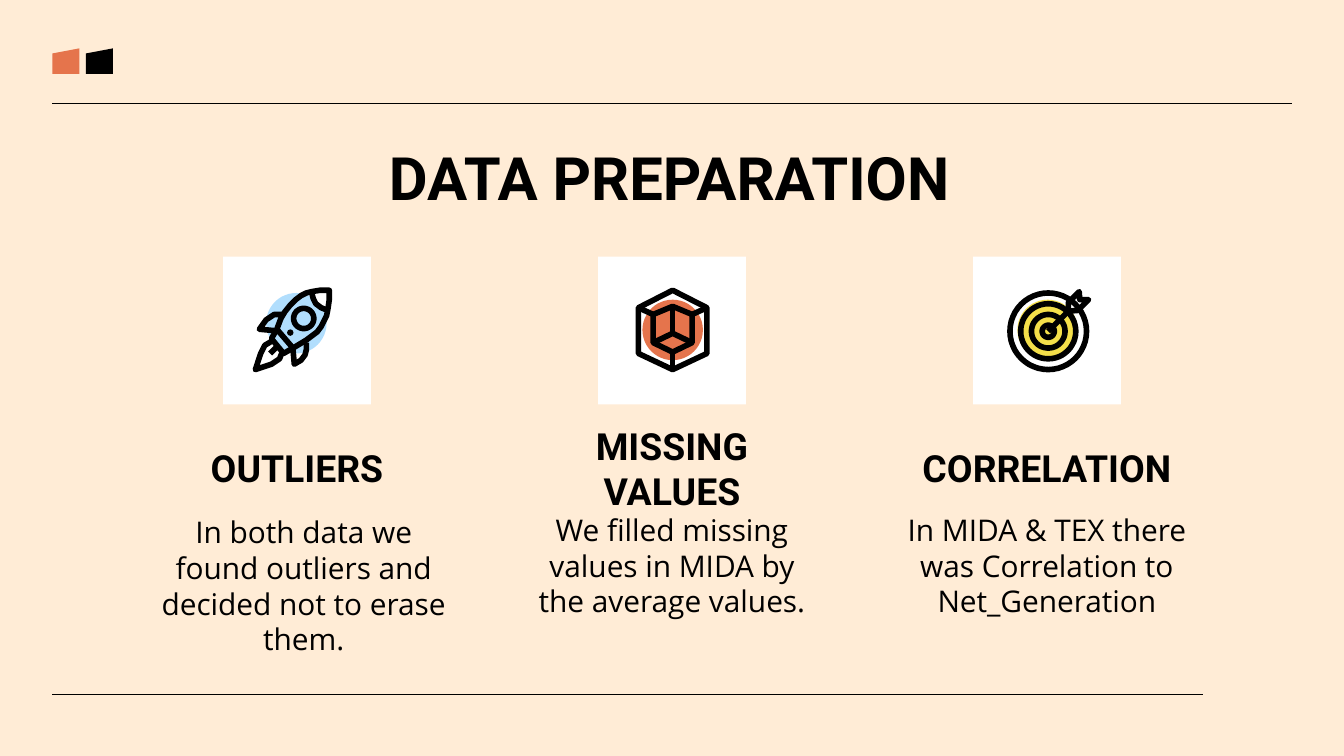
from math import cos, sin, tau
from typing import NamedTuple

from lxml.etree import SubElement
from pptx import Presentation
from pptx.dml.color import RGBColor
from pptx.enum.shapes import MSO_CONNECTOR, MSO_SHAPE
from pptx.enum.text import MSO_ANCHOR, PP_ALIGN
from pptx.oxml.ns import qn
from pptx.util import Inches, Pt

BLACK, WHITE, CREAM = "000000", "FFFFFF", "FFECD6"
ORANGE, BLUE, YELLOW = "E5744C", "B1DEFD", "F4DF4A"
MARGIN = 0.39
FIRST_CARD, COLUMN_PITCH = 1.66, 2.79
CARD_TOP, CARD_SIZE = 1.91, 1.1
TEXT_WIDTH = 2.38
TEXT_OFFSET = (CARD_SIZE - TEXT_WIDTH) / 2
ICON_STROKE = 3
BACKDROP_SIZE = 0.45
RING_SIDES = 48

Points = list[tuple[float, float]]


class Box(NamedTuple):
    left: float
    top: float
    width: float
    height: float


class TextStyle(NamedTuple):
    font: str
    size: int
    bold: bool = False
    anchor: MSO_ANCHOR = MSO_ANCHOR.MIDDLE


class Stroke(NamedTuple):
    points: Points
    closed: bool = False


class Icon(NamedTuple):
    """Line icon; stroke points are hundredths of an inch from the card corner."""
    colour: str
    backdrop_left: float
    backdrop_top: float
    strokes: list[Stroke]


class Step(NamedTuple):
    heading: str
    body: str
    body_box: Box
    icon: Icon


def ring(x: float, y: float, radius: float) -> Stroke:
    angles = [tau * side / RING_SIDES for side in range(RING_SIDES)]
    return Stroke([(x + radius * cos(a), y + radius * sin(a)) for a in angles], True)


TITLE = TextStyle("Roboto", 32, True, MSO_ANCHOR.TOP)
HEADING = TextStyle("Roboto", 20, True)
BODY = TextStyle("Open Sans", 16)

ROCKET = Icon(BLUE, 0.32, 0.27, [
    Stroke([(40, 54), (43, 46), (46, 41), (50, 36), (54, 32), (58, 29), (62, 27), (66, 26),
            (72, 25), (79, 25), (79, 32), (78, 39), (77, 44), (75, 48), (73, 52), (70, 56),
            (66, 59), (62, 62), (52, 68)], True),
    Stroke([(66, 27), (67, 31), (69, 35), (73, 38), (78, 40)]),
    Stroke([(44, 43), (38, 43), (35, 45), (32, 47), (27, 54), (38, 55)]),
    Stroke([(62, 64), (62, 69), (61, 73), (58, 77), (53, 80), (52, 69)]),
    Stroke([(40, 54), (36, 61), (45, 72), (52, 68)]),
    Stroke([(36, 63), (31, 66), (28, 72), (24, 84), (36, 80), (42, 76), (44, 71)]),
    Stroke([(40, 67), (35, 72)]),
    ring(60, 46, 7.5),
    ring(50, 56.5, 0.3),
])
CUBE = Icon(ORANGE, 0.33, 0.32, [
    Stroke([(55.5, 25), (81, 38), (81, 72), (55.5, 84), (30, 72), (30, 38)], True),
    Stroke([(55.5, 37), (70, 43), (70, 64), (55.5, 71), (41, 64), (41, 43)], True),
    Stroke([(41, 64), (55.5, 57), (70, 64)]),
    Stroke([(55.5, 37), (55.5, 57)]),
    Stroke([(30, 38), (41, 43)]),
    Stroke([(81, 38), (70, 43)]),
    Stroke([(55.5, 71), (55.5, 84)]),
])
TARGET = Icon(YELLOW, 0.33, 0.32, [
    Stroke([(56, 55.5), (71, 40.5)]),
    Stroke([(71, 34), (79, 26), (79.5, 32), (86, 32), (78, 40), (71, 40.5)], True),
    *[ring(56, 55.5, 4.5 + 8 * step) for step in range(4)],
])

STEPS = [
    Step("OUTLIERS", "In both data we found outliers and decided not to erase them.",
         Box(1.07, 3.69, TEXT_WIDTH, 1.33), ROCKET),
    Step("MISSING VALUES", "We filled missing values in MIDA by the average values.",
         Box(3.81, 3.73, TEXT_WIDTH, 0.95), CUBE),
    Step("CORRELATION", "In MIDA & TEX there was Correlation to Net_Generation",
         Box(6.6, 3.73, TEXT_WIDTH, 0.95), TARGET),
]


def colour(value: str) -> RGBColor:
    return RGBColor.from_string(value)


def add_filled(slide, kind: MSO_SHAPE, box: Box, fill: str) -> None:
    shape = slide.shapes.add_shape(kind, *map(Inches, box))
    shape.shadow.inherit = False
    shape.fill.solid()
    shape.fill.fore_color.rgb = colour(fill)
    shape.line.fill.background()


def add_rule(slide, right: float, top: float) -> None:
    rule = slide.shapes.add_connector(
        MSO_CONNECTOR.STRAIGHT, Inches(right), Inches(top), Inches(MARGIN), Inches(top))
    rule.line.color.rgb = colour(BLACK)
    rule.line.width = Pt(0.75)
    SubElement(rule._element.spPr, qn("a:effectLst"))


def add_text(slide, text: str, box: Box, style: TextStyle) -> None:
    frame = slide.shapes.add_textbox(*map(Inches, box)).text_frame
    frame.word_wrap = True
    frame.vertical_anchor = style.anchor
    frame.margin_left = frame.margin_right = Inches(0.1)
    frame.margin_top = frame.margin_bottom = Inches(0.1)
    frame.text = text
    paragraph = frame.paragraphs[0]
    paragraph.alignment = PP_ALIGN.CENTER
    font = paragraph.runs[0].font
    font.name, font.size, font.bold = style.font, Pt(style.size), style.bold
    font.color.rgb = colour(BLACK)


def add_icon(slide, icon: Icon, left: float, top: float) -> None:
    """Draw the coloured disc, then all strokes as one outline."""
    add_filled(slide, MSO_SHAPE.OVAL,
               Box(left + icon.backdrop_left, top + icon.backdrop_top,
                   BACKDROP_SIZE, BACKDROP_SIZE), icon.colour)
    builder = slide.shapes.build_freeform()
    for stroke in icon.strokes:
        points = [(Inches(x / 100), Inches(y / 100)) for x, y in stroke.points]
        builder.move_to(*points[0])
        builder.add_line_segments(points[1:], close=stroke.closed)
    # The builder's own start counts in its extent, so it sits on the first stroke.
    builder._start_x, builder._start_y = (Inches(n / 100) for n in icon.strokes[0].points[0])
    shape = builder.convert_to_shape(Inches(left), Inches(top))
    shape.shadow.inherit = False
    shape.fill.background()
    shape.line.color.rgb = colour(BLACK)
    shape.line.width = Pt(ICON_STROKE)
    SubElement(shape.line._get_or_add_ln(), qn("a:round"))


def add_step(slide, step: Step, column: int) -> None:
    left = FIRST_CARD + column * COLUMN_PITCH
    add_filled(slide, MSO_SHAPE.RECTANGLE, Box(left, CARD_TOP, CARD_SIZE, CARD_SIZE), WHITE)
    add_icon(slide, step.icon, left, CARD_TOP)
    add_text(slide, step.heading, Box(left + TEXT_OFFSET, 3.19, TEXT_WIDTH, 0.58), HEADING)
    add_text(slide, step.body, step.body_box, BODY)


def main() -> None:
    presentation = Presentation()
    presentation.slide_width = Inches(10)
    presentation.slide_height = presentation.slide_width * 9 // 16
    slide = presentation.slides.add_slide(presentation.slide_layouts[6])
    slide.background.fill.solid()
    slide.background.fill.fore_color.rgb = colour(CREAM)

    add_rule(slide, 9.61, 0.77)
    add_rule(slide, 8.95, 5.17)
    for index, fill in enumerate([ORANGE, BLACK]):
        add_filled(slide, MSO_SHAPE.FLOWCHART_MANUAL_INPUT,
                   Box(MARGIN + 0.25 * index, 0.36, 0.2, 0.19), fill)
    add_text(slide, "DATA PREPARATION", Box(0.79, 0.95, 8.38, 0.63), TITLE)
    for column, step in enumerate(STEPS):
        add_step(slide, step, column)
    presentation.save("out.pptx")


if __name__ == "__main__":
    main()
